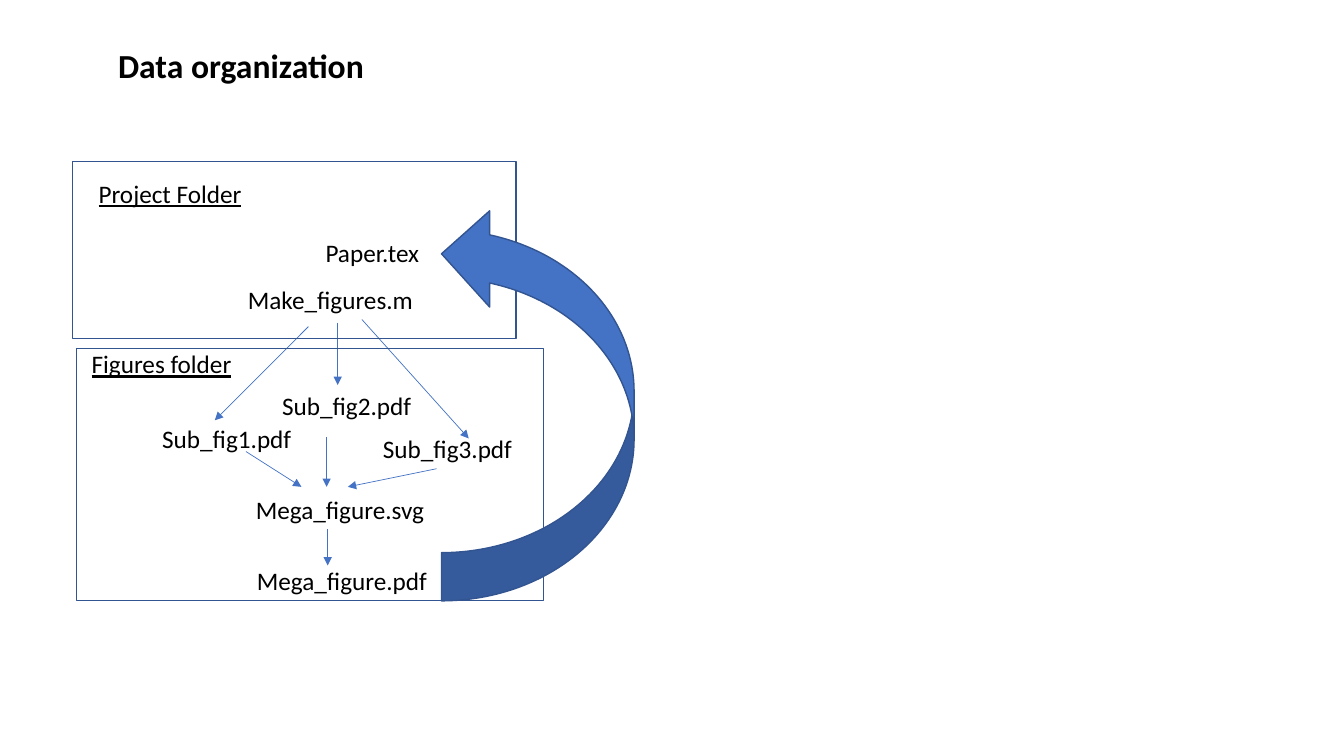
from lxml import etree
from pptx import Presentation
from pptx.dml.color import RGBColor
from pptx.enum.shapes import MSO_CONNECTOR, MSO_SHAPE
from pptx.enum.text import MSO_ANCHOR, MSO_AUTO_SIZE, PP_ALIGN
from pptx.oxml.ns import qn
from pptx.util import Inches, Pt

RECT = MSO_SHAPE.RECTANGLE
CURVED = MSO_SHAPE.CURVED_RIGHT_ARROW
STRAIGHT = MSO_CONNECTOR.STRAIGHT
TOP = MSO_ANCHOR.TOP
LEFT = PP_ALIGN.LEFT
GROW = MSO_AUTO_SIZE.SHAPE_TO_FIT_TEXT

COLORS = {"text": "000000", "arrow": "4472C4", "outline": "325491"}
FONT = "Calibri"

TITLE = ("Data organization", (8.03, 5.33, 23.55, 6.67))
LABEL_HEIGHT = 5.33
FOLDER_LABELS = [
    ("Project Folder", 6.6, 22.93, 15.15),
    ("Figures folder", 6.08, 45.47, 12.68),
]
FILE_LABELS = [
    ("Paper.tex", 23.48, 30.8, 12.75),
    ("Make_figures.m", 17.7, 36.93, 17.18),
    ("Sub_fig1.pdf", 11.33, 55.33, 23.55),
    ("Sub_fig2.pdf", 20.25, 50.93, 13.65),
    ("Sub_fig3.pdf", 27.75, 56.67, 12.23),
    ("Mega_figure.svg", 18.3, 64.67, 23.55),
    ("Mega_figure.pdf", 18.38, 74.13, 23.55),
]
FLOWS = [
    (22.95, 43.2, 15.98, 55.6),
    (25.13, 42.67, 25.13, 50.93),
    (26.93, 42.27, 34.88, 58),
    (18.3, 59.73, 22.43, 64.4),
    (24.3, 57.87, 24.3, 64.4),
    (32.48, 62, 25.88, 64.4),
    (24.38, 70, 24.38, 74.8),
]
FOLDERS = [(5.4, 21.33, 33, 23.47), (5.7, 46.13, 34.73, 33.33)]
RETURN_ARROW = (32.85, 27.2, 14.33, 52.27)

prs = Presentation()
prs.slide_width, prs.slide_height = Inches(13.33), Inches(7.5)
s = prs.slides.add_slide(prs.slide_layouts[5])


def place(box):
    sizes = (prs.slide_width, prs.slide_height) * 2
    return [int(share * size / 100) for share, size in zip(box, sizes)]


def color(name):
    return RGBColor.from_string(COLORS[name])


def write(sp, text, size, bold=False, underline=False):
    tf = sp.text_frame
    tf.word_wrap = True
    tf.auto_size = GROW
    tf.vertical_anchor = TOP
    p = tf.paragraphs[0]
    p.alignment = LEFT
    r = p.add_run()
    r.text = text
    r.font.name = FONT
    r.font.size = Pt(size)
    r.font.bold = bold
    r.font.underline = underline
    r.font.color.rgb = color("text")


def add_label(text, x, y, w, underline=False):
    sp = s.shapes.add_textbox(*place((x, y, w, LABEL_HEIGHT)))
    write(sp, text, 18, underline=underline)


def add_flow(ends):
    line = s.shapes.add_connector(STRAIGHT, *place(ends))
    line.line.color.rgb = color("arrow")
    line.line.width = Pt(0.5)
    etree.SubElement(line.line._get_or_add_ln(), qn("a:tailEnd"), type="triangle")
    etree.SubElement(line._element.spPr, qn("a:effectLst"))


def add_outlined(kind, box):
    sp = s.shapes.add_shape(kind, *place(box))
    sp.shadow.inherit = False
    sp.fill.background()
    sp.line.color.rgb = color("outline")
    sp.line.width = Pt(1)
    return sp


title = s.shapes.title
title.left, title.top, title.width, title.height = place(TITLE[1])
write(title, TITLE[0], 24, bold=True)

for label in FOLDER_LABELS:
    add_label(*label, underline=True)
for label in FILE_LABELS:
    add_label(*label)
for flow in FLOWS:
    add_flow(flow)
for folder in FOLDERS:
    add_outlined(RECT, folder)

arrow = add_outlined(CURVED, RETURN_ARROW)
arrow.fill.solid()
arrow.fill.fore_color.rgb = color("arrow")
arrow.rotation = 180

prs.save("out.pptx")
